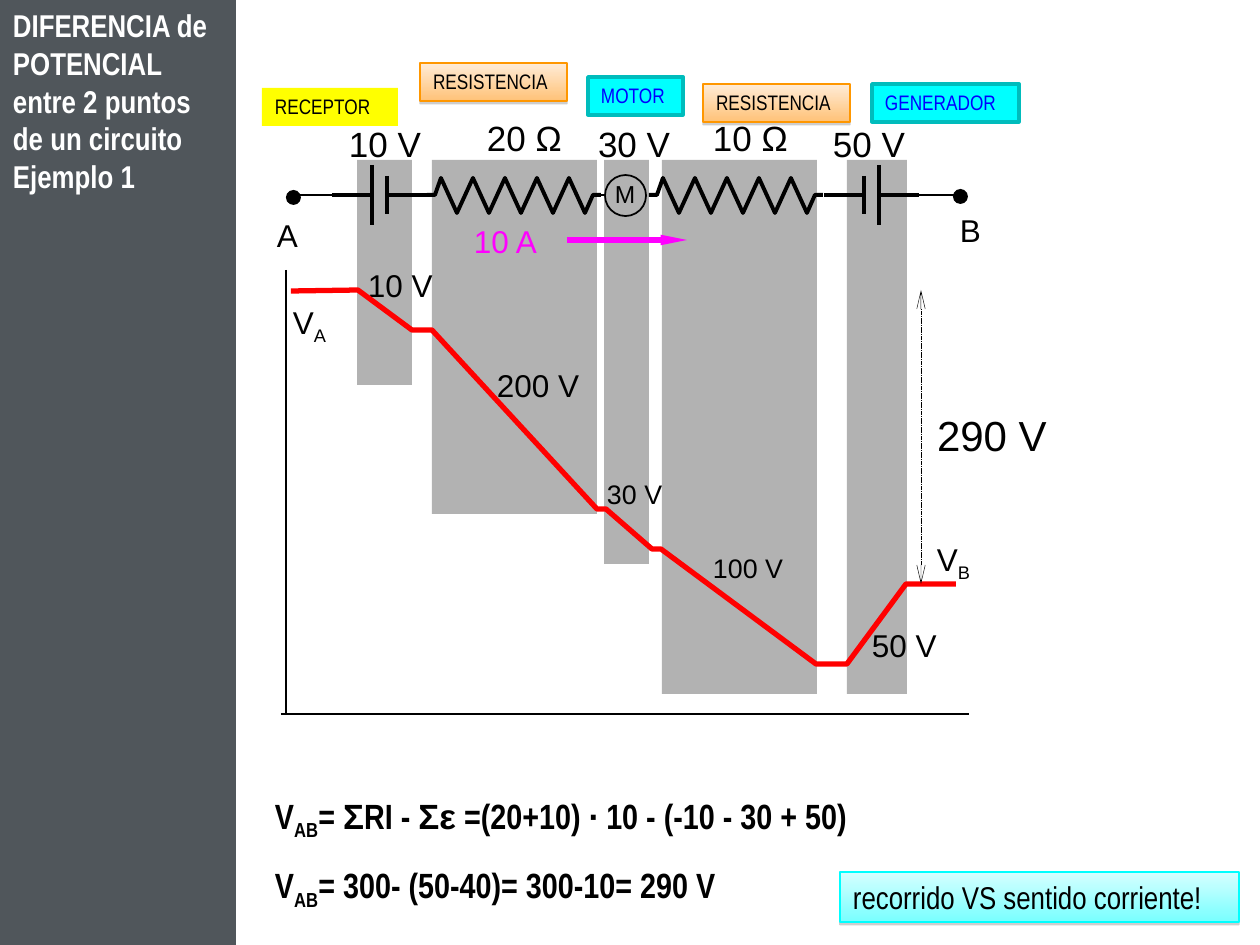
from itertools import groupby, pairwise

from lxml import etree
from pptx import Presentation
from pptx.dml.color import RGBColor
from pptx.enum.dml import MSO_LINE
from pptx.enum.shapes import MSO_CONNECTOR, MSO_SHAPE
from pptx.enum.text import MSO_ANCHOR, MSO_AUTO_SIZE, PP_ALIGN
from pptx.oxml.ns import qn
from pptx.util import Emu, Pt

SCALE = 914400 / 126
BLACK = RGBColor(0x00, 0x00, 0x00)
WHITE = RGBColor(0xFF, 0xFF, 0xFF)
SLATE = RGBColor(0x50, 0x56, 0x5B)
GREY = RGBColor(0xB2, 0xB2, 0xB2)
SHADE = RGBColor(0x80, 0x80, 0x80)
RED = RGBColor(0xFF, 0x00, 0x00)
MAGENTA = RGBColor(0xFF, 0x00, 0xFF)
YELLOW = RGBColor(0xFF, 0xFF, 0x00)
BLUE = RGBColor(0x00, 0x00, 0xFF)
CYAN = RGBColor(0x00, 0xFF, 0xFF)
TEAL = RGBColor(0x00, 0xBC, 0xBC)
ORANGE = RGBColor(0xFF, 0x97, 0x00)
ORANGES = (RGBColor(0xFF, 0xEC, 0xD7), RGBColor(0xFF, 0xC2, 0x78))
CYANS = (RGBColor(0xD7, 0xFF, 0xFF), RGBColor(0x78, 0xFF, 0xFF))
PLAIN, NARROW = "Arial", "Arial Narrow"
WIRE_Y = 195


def px(n):
    return Emu(round(n * SCALE))


def write(tf, text, size=18, font=PLAIN, color=BLACK, bold=False, inset=(1, 1),
          anchor=MSO_ANCHOR.TOP, before=0, spacing=None):
    """Fill a frame; lines become paragraphs, ~x~ is a subscript, Σ and ε use Arial."""
    tf.word_wrap = True
    tf.auto_size = MSO_AUTO_SIZE.NONE
    tf.vertical_anchor = anchor
    tf.margin_left = tf.margin_right = px(inset[0])
    tf.margin_top = tf.margin_bottom = px(inset[1])
    for i, line in enumerate(text.split("\n")):
        p = tf.add_paragraph() if i else tf.paragraphs[0]
        p.alignment = PP_ALIGN.LEFT
        p.space_before = Pt(before if i else 0)
        if spacing:
            p.line_spacing = spacing
        for j, part in enumerate(line.split("~")):
            for greek, chars in groupby(part, lambda c: c in "Σε"):
                r = p.add_run()
                r.text = "".join(chars)
                r.font.size, r.font.bold = Pt(size), bold
                r.font.name = PLAIN if greek else font
                r.font.color.rgb = color
                if j % 2:
                    r.font._element.set("baseline", "-25000")


class Canvas:
    def __init__(self, slide):
        self.slide = slide
        self.shapes = slide.shapes

    def title(self, x, y, w, h, text, **style):
        sp = self.shapes.title
        sp.left, sp.top, sp.width, sp.height = map(px, (x, y, w, h))
        write(sp.text_frame, text, **style)
        return sp

    def label(self, x, y, w, h, text, **style):
        sp = self.shapes.add_textbox(*map(px, (x, y, w, h)))
        write(sp.text_frame, text, **style)

    def shape(self, x, y, w, h, fill=None, line=None, width=1, kind=MSO_SHAPE.RECTANGLE):
        """A preset shape; a pair of fill colours makes a top-down gradient."""
        sp = self.shapes.add_shape(kind, *map(px, (x, y, w, h)))
        sp.shadow.inherit = False
        if fill is None:
            sp.fill.background()
        elif isinstance(fill, RGBColor):
            sp.fill.solid()
            sp.fill.fore_color.rgb = fill
        else:
            sp.fill.gradient()
            sp.fill.gradient_angle = 270
            for i, (stop, color) in enumerate(zip(sp.fill.gradient_stops, fill)):
                stop.position, stop.color.rgb = i, color
        if line is None:
            sp.line.fill.background()
        else:
            sp.line.color.rgb, sp.line.width = line, Pt(width)
        return sp

    def tag(self, x, y, w, h, text, fill, line=None, width=0.75, size=12, color=BLACK):
        """A caption box; gradient ones also cast a shadow."""
        sp = self.shape(x, y, w, h, fill, line, width)
        if not isinstance(fill, RGBColor):
            effects = sp._element.spPr.find(qn("a:effectLst"))
            shadow = etree.SubElement(effects, qn("a:outerShdw"), blurRad="0", dist="20320",
                                      dir="5400000", rotWithShape="0")
            tone = etree.SubElement(shadow, qn("a:srgbClr"), val=str(SHADE))
            etree.SubElement(tone, qn("a:alpha"), val="38000")
        write(sp.text_frame, text, size=size, font=NARROW, color=color, inset=(13, 6))

    def line(self, x1, y1, x2, y2, width=0.75, color=BLACK, dash=None, **ends):
        """A straight line; headEnd / tailEnd keywords name the arrowhead type."""
        c = self.shapes.add_connector(MSO_CONNECTOR.STRAIGHT, *map(px, (x1, y1, x2, y2)))
        c.line.color.rgb, c.line.width = color, Pt(width)
        if dash:
            c.line.dash_style = dash
        ln = c.line._get_or_add_ln()
        for end in ("headEnd", "tailEnd"):
            if end in ends:
                etree.SubElement(ln, qn(f"a:{end}"), type=ends[end], w="sm", len="lg")
        etree.SubElement(c._element.spPr, qn("a:effectLst"))

    def polyline(self, points, width, color=BLACK):
        builder = self.shapes.build_freeform(*points[0], scale=SCALE)
        builder.add_line_segments(points[1:], close=False)
        sp = builder.convert_to_shape()
        sp.shadow.inherit = False
        sp.fill.background()
        sp.line.color.rgb, sp.line.width = color, Pt(width)

    def resistor(self, x):
        zigzag = [(x + 14 + 16 * k, WIRE_Y + (18 if k % 2 else -17)) for k in range(10)]
        ends = [(x + dx, WIRE_Y) for dx in (0, 8, 166, 174)]
        self.polyline(ends[:2] + zigzag + ends[2:], 2.25)

    def battery(self, x, halves):
        """Two leads and two plates, given the half heights of the plates."""
        self.line(x, WIRE_Y, x + 40, WIRE_Y, 2.25)
        for plate_x, half in zip((x + 40, x + 55), halves):
            self.line(plate_x, WIRE_Y - half, plate_x, WIRE_Y + half, 2.25)
        self.line(x + 55, WIRE_Y, x + 95, WIRE_Y, 2.25)


def main():
    prs = Presentation()
    prs.slide_width, prs.slide_height = px(1260), px(945)
    s = Canvas(prs.slides.add_slide(prs.slide_layouts[5]))

    title = s.title(0, 0, 231, 202, "DIFERENCIA de POTENCIAL entre 2 puntos de un circuito\n"
                    "Ejemplo 1", font=NARROW, color=WHITE, bold=True, inset=(13, 6))
    sidebar = s.shape(0, 0, 236, 945, SLATE)
    title._element.addprevious(sidebar._element)

    for x, w, h in ((847, 60, 534), (662, 155, 534), (604, 45, 404), (432, 165, 354),
                    (357, 55, 225)):
        s.shape(x, 160, w, h, GREY)

    # Circuit
    for x1, x2 in ((292, 335), (919, 961), (597, 605)):
        s.line(x1, WIRE_Y, x2, WIRE_Y)
    for x in (427, 649):
        s.resistor(x)
    s.battery(332, (30, 19))
    s.battery(824, (19, 30))
    for x, y in ((953, 189), (286, 190)):
        s.shape(x, y, 15, 15, BLACK, kind=MSO_SHAPE.OVAL)
    s.shape(605, 175, 41, 41, line=BLACK, kind=MSO_SHAPE.OVAL)
    s.label(614, 178, 30, 40, "M", size=14)
    for x, y, text in ((486, 116, "20 Ω"), (832, 121, "50 V"), (712, 116, "10 Ω"),
                       (597, 121, "30 V"), (348, 121, "10 V")):
        s.label(x, y, 82, 55, text, size=20)
    s.label(276, 215, 40, 55, "A")
    s.label(959, 210, 40, 55, "B")
    s.line(567, 240, 687, 240, 3, MAGENTA, tailEnd="triangle")
    s.label(473, 221, 87, 45, "10 A", color=MAGENTA)

    # Potential graph
    s.line(286, 270, 286, 714)
    s.line(281, 714, 969, 714)
    for x, y, text in ((871, 625, "50 V"), (496, 365, "200 V"), (367, 265, "10 V"),
                       (936, 539, "V~B~"), (292, 302, "V~A~")):
        s.label(x, y, 102, 50, text)
    for x, y, text in ((606, 480, "30 V"), (712, 554, "100 V")):
        s.label(x, y, 107, 38, text, size=15.3, spacing=0.9)
    s.polyline([(291, 291), (358, 290), (412, 330), (432, 330), (597, 509), (606, 509),
                (652, 549), (661, 549), (816, 664), (847, 664), (906, 584), (956, 584)], 3, RED)
    s.label(936, 408, 145, 54, "290 V", size=24, anchor=MSO_ANCHOR.MIDDLE)
    s.line(921, 584, 921, 290, 0.25, dash=MSO_LINE.SQUARE_DOT, headEnd="arrow", tailEnd="arrow")

    s.label(262, 788, 892, 130, "V~AB~= ΣRI - Σε =(20+10) · 10 - (-10 - 30 + 50)\n"
            "V~AB~= 300- (50-40)= 300-10= 290 V", size=20, font=NARROW, bold=True,
            inset=(13, 6), before=12.5)

    # Captions
    s.tag(262, 88, 136, 38, "RECEPTOR", YELLOW)
    for x, y, w, text in ((588, 77, 95, "MOTOR"), (872, 84, 147, "GENERADOR")):
        s.tag(x, y, w, 38, text, CYAN, TEAL, 2, color=BLUE)
    for x, y in ((703, 84), (420, 63)):
        s.tag(x, y, 147, 38, "RESISTENCIA", ORANGES, ORANGE)
    s.tag(840, 872, 399, 50, "recorrido VS sentido corriente!", CYANS, CYAN, size=18)

    prs.save("out.pptx")


if __name__ == "__main__":
    main()
